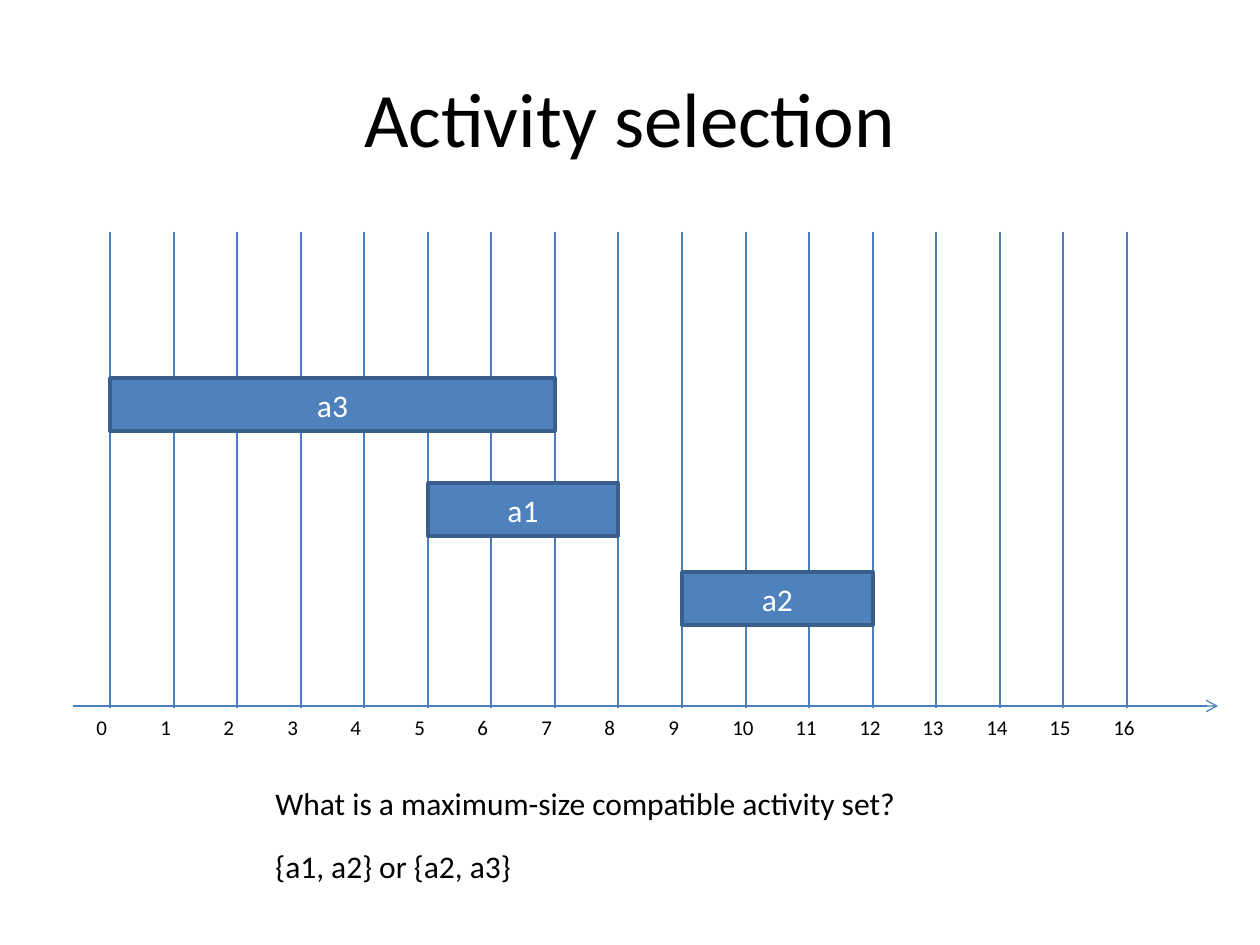
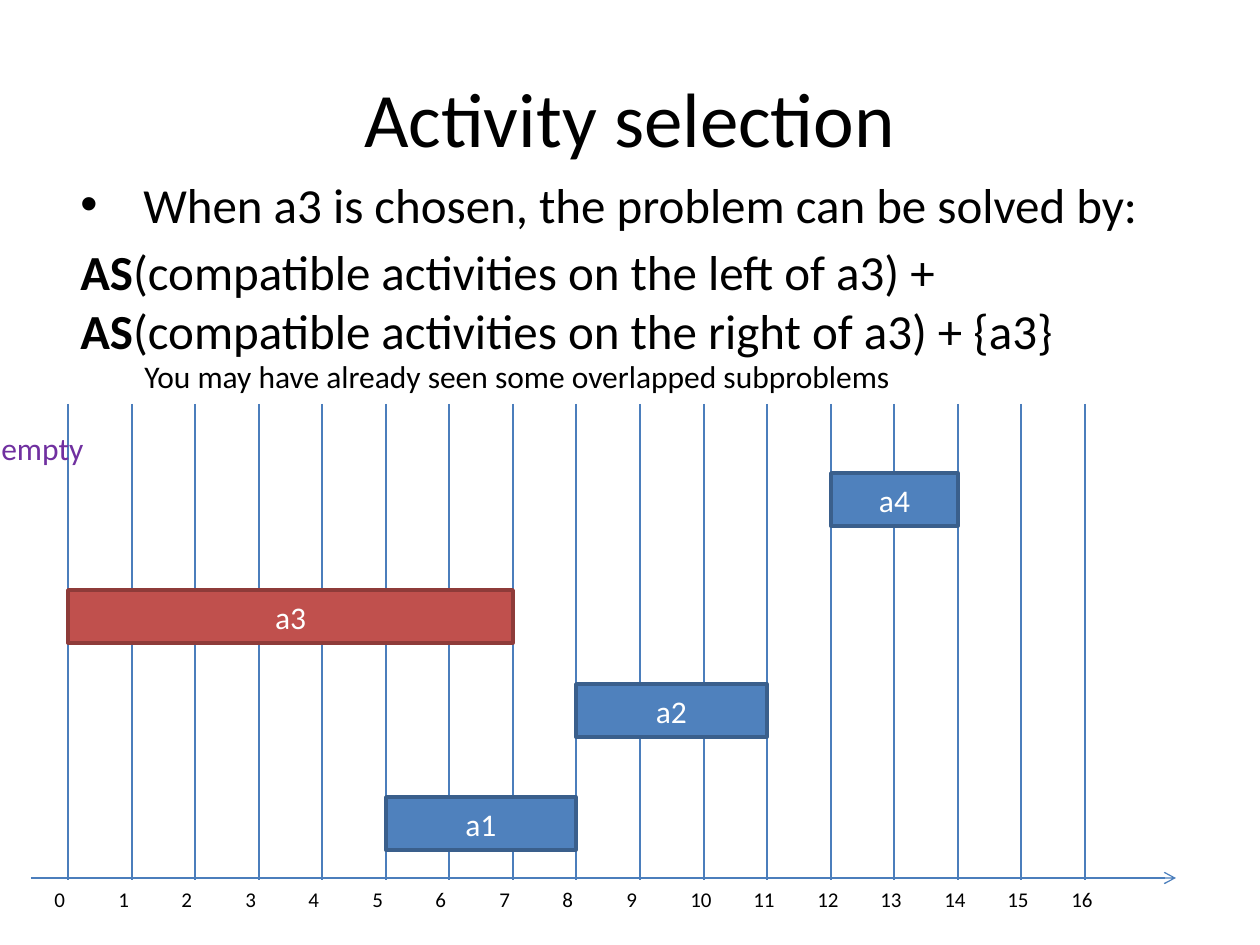
import pptx
import pptx.dml.color
import pptx.enum.shapes
import pptx.enum.text
import pptx.oxml.ns
import pptx.util
import lxml.etree

PX = 914400 / 126
FONT = "Calibri"
COLORS = {
    "text": "000000",
    "white": "FFFFFF",
    "grid": "4B7EBC",
    "blue": "4F81BD",
    "blue_edge": "3A5F8C",
    "red": "C0504D",
    "red_edge": "8E3B39",
    "purple": "7030A0",
}
LAST_HOUR = 16
GRID_WIDTH = 1017
GRID_HEIGHT = 476
BAR_HEIGHT = 53


def emu(length):
    return pptx.util.Emu(round(length * PX))


def rgb(name):
    return pptx.dml.color.RGBColor.from_string(COLORS[name])


def add_element(parent, tag, **attributes):
    return lxml.etree.SubElement(parent, pptx.oxml.ns.qn(tag), attributes)


class Deck:
    def __init__(self):
        self.presentation = pptx.Presentation()
        self.presentation.slide_width = emu(1260)
        self.presentation.slide_height = emu(945)
        self.slide = None

    def start_slide(self, title):
        self.slide = self.presentation.slides.add_slide(self.presentation.slide_layouts[6])
        heading = self.text(title, 63, 38, 1134, 158, size=44, centered=True, grow=False)
        heading.vertical_anchor = pptx.enum.text.MSO_ANCHOR.MIDDLE

    def run(self, paragraph, words, size, color="text", bold=False):
        run = paragraph.add_run()
        run.text = words
        run.font.name = FONT
        run.font.size = pptx.util.Pt(size)
        run.font.bold = bold
        run.font.color.rgb = rgb(color)

    def frame(self, left, top, width, height):
        frame = self.slide.shapes.add_textbox(
            emu(left), emu(top), emu(width), emu(height)).text_frame
        frame.word_wrap = True
        return frame

    def text(self, words, left, top, width, height=51, size=18, color="text",
             centered=False, grow=True):
        frame = self.frame(left, top, width, height)
        if grow:
            frame.auto_size = pptx.enum.text.MSO_AUTO_SIZE.SHAPE_TO_FIT_TEXT
        paragraph = frame.paragraphs[0]
        if centered:
            paragraph.alignment = pptx.enum.text.PP_ALIGN.CENTER
        self.run(paragraph, words, size, color)
        return frame

    def body(self, bullet, conclusion, left, top, width, height):
        frame = self.frame(left, top, width, height)
        lead = frame.paragraphs[0]
        properties = lead._p.get_or_add_pPr()
        properties.set("marL", str(emu(63)))
        properties.set("indent", str(emu(-63)))
        add_element(properties, "a:buFont", typeface="Arial")
        add_element(properties, "a:buChar", char="•")
        self.run(lead, bullet, 28)
        formula = frame.add_paragraph()
        formula.space_before = pptx.util.Pt(5)
        for words, bold in conclusion:
            self.run(formula, words, 28, bold=bold)

    def line(self, x1, y1, x2, y2, arrow=False):
        connector = self.slide.shapes.add_connector(
            pptx.enum.shapes.MSO_CONNECTOR.STRAIGHT, emu(x1), emu(y1), emu(x2), emu(y2))
        connector.line.color.rgb = rgb("grid")
        connector.line.width = pptx.util.Pt(0.75)
        properties = connector._element.spPr
        if arrow:
            add_element(properties.find(pptx.oxml.ns.qn("a:ln")), "a:tailEnd", type="arrow")
        add_element(properties, "a:effectLst")

    def bar(self, label, left, top, width, color):
        bar = self.slide.shapes.add_shape(
            pptx.enum.shapes.MSO_SHAPE.RECTANGLE,
            emu(left), emu(top), emu(width), emu(BAR_HEIGHT))
        bar.shadow.inherit = False
        bar.fill.solid()
        bar.fill.fore_color.rgb = rgb(color)
        bar.line.color.rgb = rgb(color + "_edge")
        bar.line.width = pptx.util.Pt(2)
        bar.text_frame.vertical_anchor = pptx.enum.text.MSO_ANCHOR.MIDDLE
        paragraph = bar.text_frame.paragraphs[0]
        paragraph.alignment = pptx.enum.text.PP_ALIGN.CENTER
        self.run(paragraph, label, 18, "white")

    def timeline(self, left, top, activities):
        hours = [left + round(hour * GRID_WIDTH / LAST_HOUR) for hour in range(LAST_HOUR + 1)]
        bottom = top + GRID_HEIGHT
        self.line(left - 37, bottom - 2, left + 1108, bottom - 2, arrow=True)
        for hour, x in enumerate(hours):
            self.line(x, top, x, bottom)
            self.text(str(hour), x - 26, bottom, 53, 26, size=12)
        for label, start, finish, bar_top, color in activities:
            self.bar(label, hours[start], bar_top, hours[finish] - hours[start], color)


def main():
    deck = Deck()

    deck.start_slide("Activity selection")
    deck.timeline(110, 232, [
        ("a1", 5, 8, 483, "blue"),
        ("a2", 9, 12, 572, "blue"),
        ("a3", 0, 7, 378, "blue"),
    ])
    deck.text("What is a maximum-size compatible activity set?", 263, 778, 764)
    deck.text("{a1, a2} or {a2, a3}", 263, 841, 764)

    deck.start_slide("Activity selection")
    deck.body(
        "When a3 is chosen, the problem can be solved by:",
        [
            ("AS", True),
            ("(compatible activities on the left of a3) + ", False),
            ("AS", True),
            ("(compatible activities on the right of a3) + {a3}", False),
        ],
        68, 168, 1134, 624)
    deck.timeline(68, 404, [
        ("a1", 5, 8, 797, "blue"),
        ("a2", 8, 11, 684, "blue"),
        ("a3", 0, 7, 590, "red"),
        ("a4", 12, 14, 473, "blue"),
    ])
    deck.text("empty", -11, 423, 111, color="purple")
    deck.text("You may have already seen some overlapped subproblems", 132, 351, 980)

    deck.presentation.save("out.pptx")


if __name__ == "__main__":
    main()
